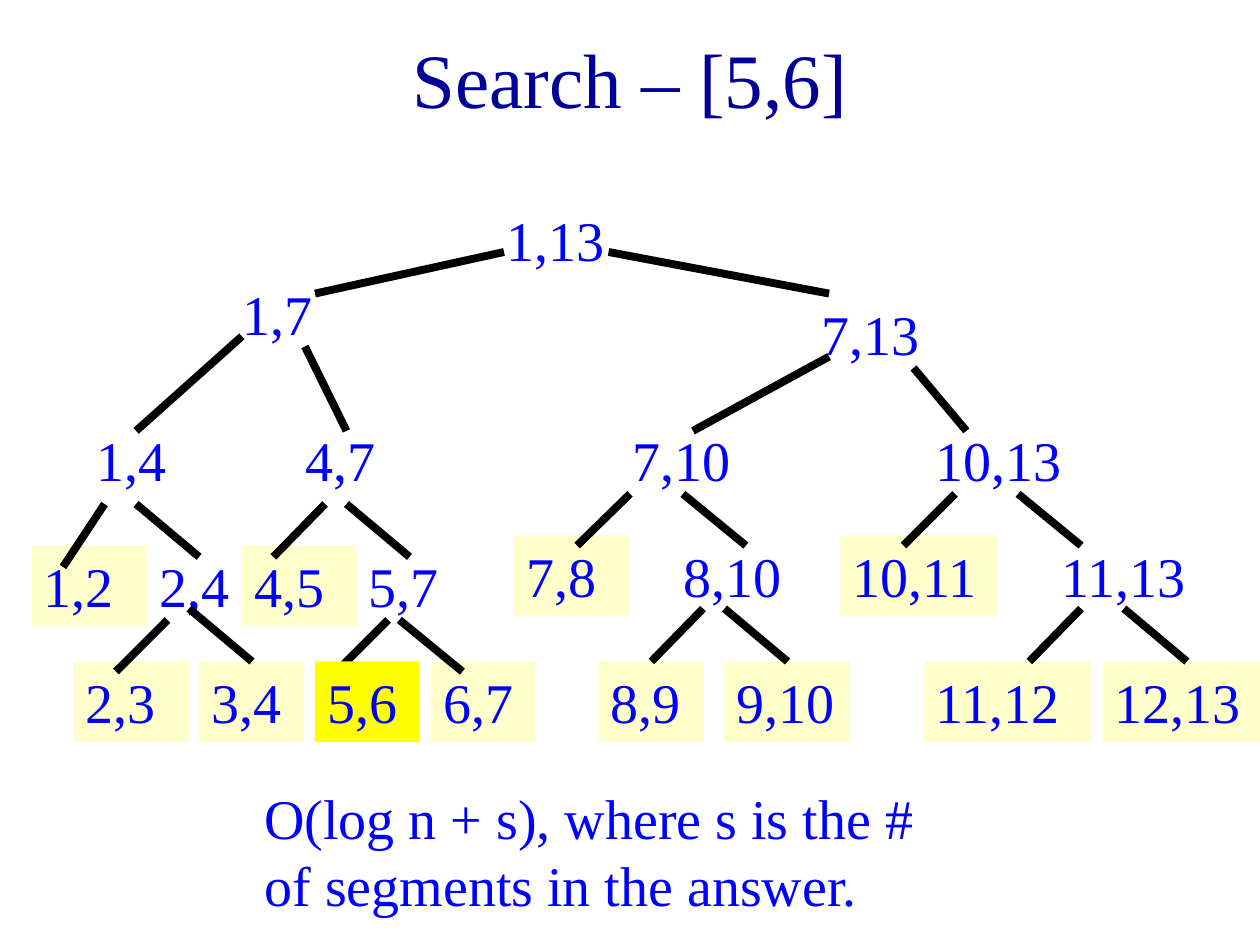
"""Build a slide that shows a search for [5,6] in a segment tree."""
import pptx
import pptx.util
import pptx.dml.color
import pptx.enum.shapes
import pptx.enum.text
import pptx.oxml.ns
import lxml.etree

Inches = pptx.util.Inches
Pt = pptx.util.Pt
RGBColor = pptx.dml.color.RGBColor
ALIGN = pptx.enum.text.PP_ALIGN
ANCHOR = pptx.enum.text.MSO_ANCHOR

NAVY = RGBColor(0x00, 0x00, 0x99)
BLUE = RGBColor(0x00, 0x00, 0xFF)
BLACK = RGBColor(0x00, 0x00, 0x00)
WHITE = RGBColor(0xFF, 0xFF, 0xFF)
CREAM = RGBColor(0xFF, 0xFF, 0xCC)
YELLOW = RGBColor(0xFF, 0xFF, 0x00)
FONT = "Times New Roman"
HIGH = 0.64

TITLE = "Search – [5,6]"
NOTE = "O(log n + s), where s is the # of segments in the answer."

INNER = [
    (1.58, [("1,13", 3.92, 1)]),
    (2.17, [("1,7", 1.83, 1)]),
    (2.33, [("7,13", 6.42, 1.25)]),
    (3.33, [("1,4", 0.67, 0.92), ("4,7", 2.33, 1.17),
            ("7,10", 4.92, 1.33), ("10,13", 7.33, 1.33)]),
    (4.33, [("2,4", 1.17, 0.92), ("5,7", 2.83, 1)]),
    (4.25, [("8,10", 5.33, 1.33), ("11,13", 8.33, 1.33)]),
]
LEAVES = [
    (4.33, [("1,2", 0.25, 0.92), ("4,5", 1.92, 0.92)]),
    (4.25, [("7,8", 4.08, 0.92), ("10,11", 6.67, 1.25)]),
    (5.25, [("2,3", 0.58, 0.92), ("3,4", 1.58, 0.83), ("6,7", 3.42, 0.83),
            ("8,9", 4.75, 0.83), ("9,10", 5.75, 1),
            ("11,12", 7.33, 1.33), ("12,13", 8.75, 1.25)]),
]
FOUND = [(5.25, [("5,6", 2.5, 0.83)])]

EDGES = [
    (4, 2, 2.5, 2.33), (4.83, 2, 6.58, 2.33),
    (1.92, 2.67, 1.08, 3.42), (2.42, 2.75, 2.75, 3.42),
    (6.58, 2.83, 5.5, 3.42), (7.25, 2.92, 7.67, 3.42),
    (0.83, 4, 0.5, 4.5), (1.08, 4, 1.58, 4.42),
    (2.58, 4, 2.17, 4.42), (2.75, 4, 3.25, 4.42),
    (5, 3.92, 4.58, 4.33), (5.42, 3.92, 5.92, 4.33),
    (7.58, 3.92, 7.17, 4.33), (8.08, 3.92, 8.58, 4.33),
    (1.33, 4.92, 0.92, 5.33), (1.5, 4.83, 2, 5.25),
    (3.08, 4.92, 2.67, 5.33), (3.17, 4.92, 3.67, 5.33),
    (5.58, 4.83, 5.17, 5.25), (5.75, 4.83, 6.25, 5.25),
    (8.58, 4.83, 8.17, 5.25), (8.92, 4.83, 9.42, 5.25),
]


def write(shape, text, size, color, align, anchor):
    frame = shape.text_frame
    frame.word_wrap = True
    frame.vertical_anchor = anchor
    para = frame.paragraphs[0]
    para.alignment = align
    run = para.add_run()
    run.text = text
    run.font.name = FONT
    run.font.size = Pt(size)
    run.font.color.rgb = color


def add_box(slide, text, left, top, width, high=HIGH, fill=None):
    place = [Inches(n) for n in (left, top, width, high)]
    if fill is None:
        box = slide.shapes.add_textbox(*place)
    else:
        kind = pptx.enum.shapes.MSO_SHAPE.RECTANGLE
        box = slide.shapes.add_shape(kind, *place)
        box.shadow.inherit = False
        box.fill.solid()
        box.fill.fore_color.rgb = fill
        box.line.fill.background()
    write(box, text, 32, BLUE, ALIGN.LEFT, ANCHOR.TOP)


def add_rows(slide, rows, fill=None):
    for top, nodes in rows:
        for text, left, width in nodes:
            add_box(slide, text, left, top, width, fill=fill)


def add_edge(slide, ends):
    kind = pptx.enum.shapes.MSO_CONNECTOR.STRAIGHT
    edge = slide.shapes.add_connector(kind, *[Inches(n) for n in ends])
    edge.line.color.rgb = BLACK
    edge.line.width = Pt(4.5)
    props = edge._element.spPr
    lxml.etree.SubElement(props, pptx.oxml.ns.qn("a:effectLst"))


def main():
    deck = pptx.Presentation()
    deck.slide_width, deck.slide_height = Inches(10), Inches(7.5)
    slide = deck.slides.add_slide(deck.slide_layouts[5])
    title = slide.shapes.title
    title.left, title.top = Inches(0.75), Inches(0.33)
    title.width, title.height = Inches(8.5), Inches(0.58)
    write(title, TITLE, 44, NAVY, ALIGN.CENTER, ANCHOR.MIDDLE)
    title.text_frame.auto_size = pptx.enum.text.MSO_AUTO_SIZE.NONE

    add_rows(slide, INNER)
    add_rows(slide, LEAVES, CREAM)
    for ends in EDGES:
        add_edge(slide, ends)
    add_rows(slide, FOUND, YELLOW)
    add_box(slide, NOTE, 2, 6.17, 5.83, 1.17, WHITE)
    deck.save("out.pptx")


if __name__ == "__main__":
    main()
